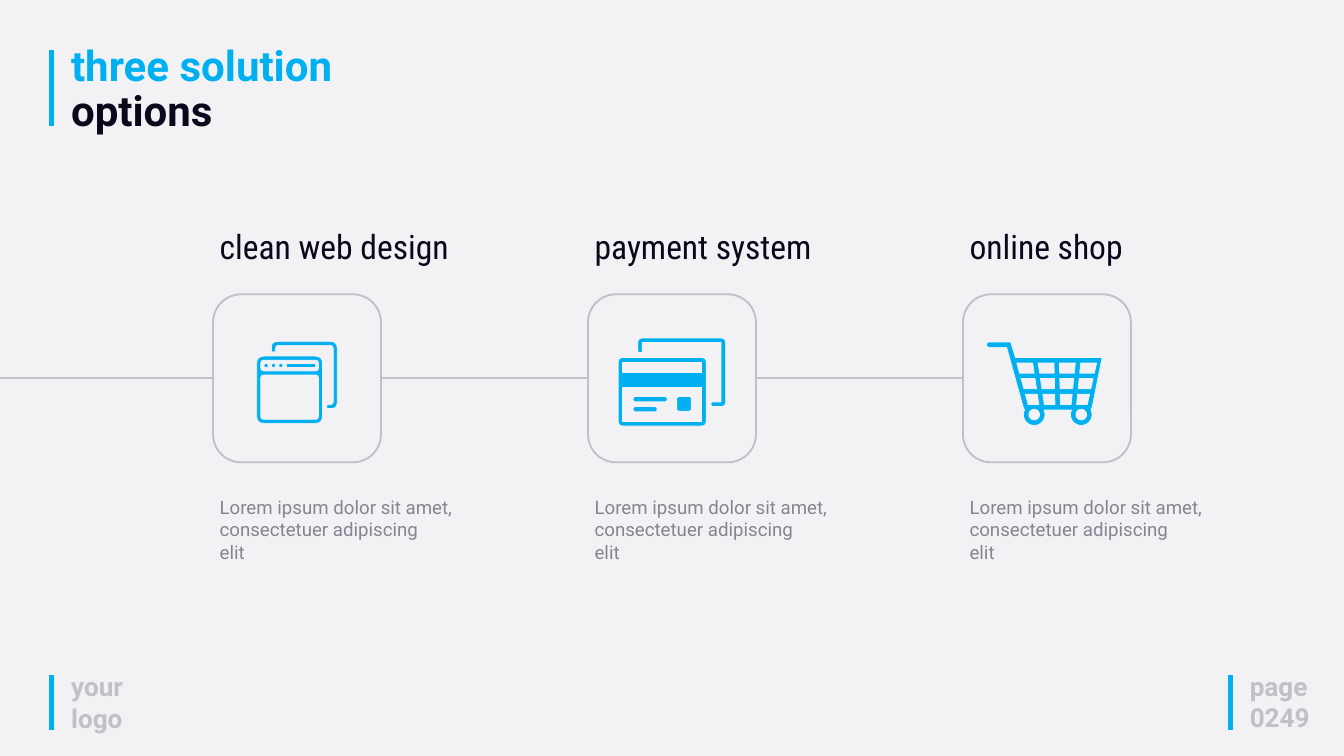
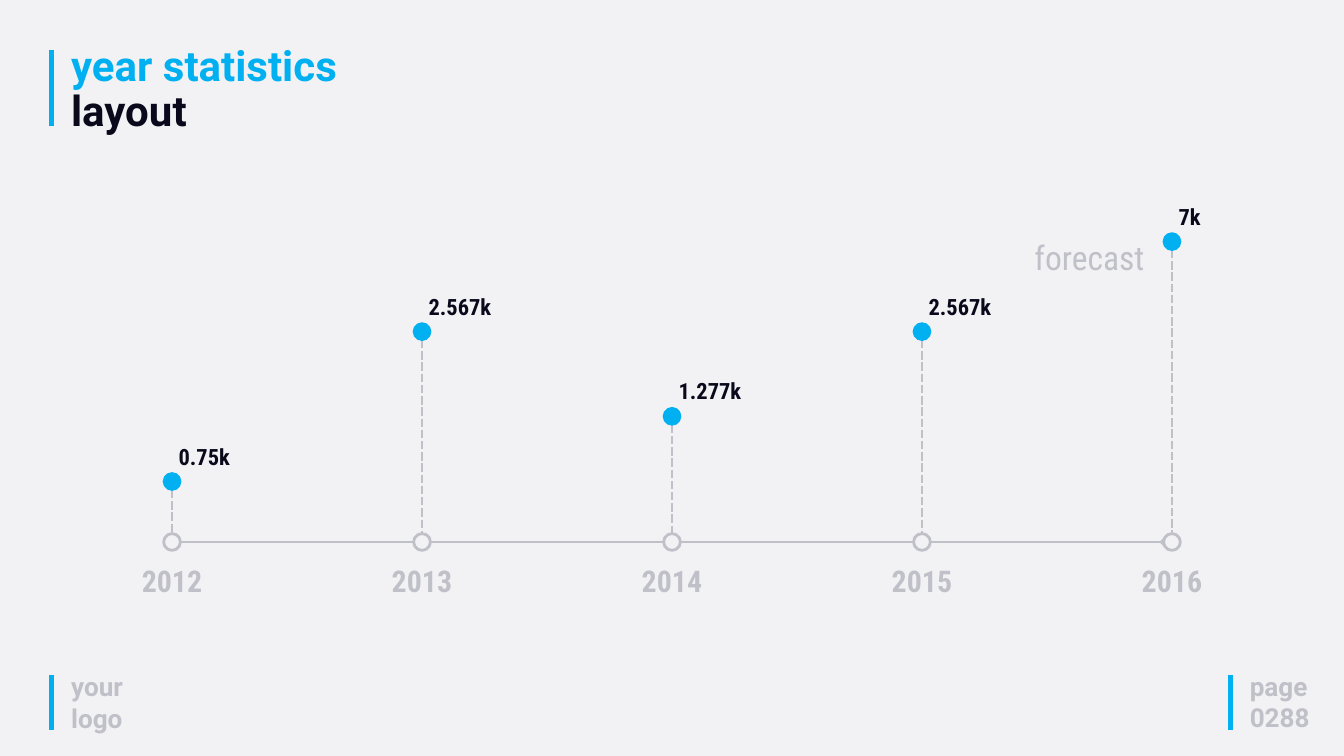
from math import cos, dist, radians, sin

from pptx import Presentation
from pptx.dml.color import RGBColor
from pptx.enum.dml import MSO_LINE as Dash
from pptx.enum.shapes import MSO_CONNECTOR as Link, MSO_SHAPE as Kind
from pptx.enum.text import MSO_AUTO_SIZE as Fit, PP_ALIGN as Align
from pptx.oxml.ns import qn
from pptx.util import Inches, Pt

WIDE, HIGH = 20, 11.25
BACK, BLUE, GREY, DARK, SOFT = "F2F2F5", "00B0F0", "C0C0C8", "0A091B", "858591"
SANS, SLIM = "Roboto", "Roboto Condensed"
BARS = [(0.77, 10.05, 10.86), (18.31, 10.05, 10.86), (0.77, 0.75, 1.88)]

BLURB = ["Lorem ipsum dolor sit amet, consectetuer adipiscing", "elit"]
CARD, CARD_X, CARD_Y, CARD_GAP = 2.5, 3.17, 4.38, 5.58

YEARS = [
    ("2012", "0.75k", 7.04),
    ("2013", "2.567k", 4.81),
    ("2014", "1.277k", 6.07),
    ("2015", "2.567k", 4.81),
    ("2016", "7k", 3.47),
]
YEAR_GAP, RING_Y, DOT = 3.72, 7.94, 0.25


def tint(code):
    return RGBColor.from_string(code)


def mix(a, b, t):
    return a + (b - a) * t


def split(start, stop, count, gap):
    size = (stop - start - gap * (count - 1)) / count
    starts = [start + i * (size + gap) for i in range(count)]
    return [(a, a + size) for a in starts]


def smooth(corners, steps=4):
    out = []
    for i, (x, y, r) in enumerate(corners):
        tip, ends = (x, y), []
        for near in (corners[i - 1], corners[(i + 1) % len(corners)]):
            size = dist(tip, near[:2])
            t = min(r, size / 2) / size
            ends.append([mix(a, b, t) for a, b in zip(tip, near)])
        for t in [step / steps for step in range(steps + 1)]:
            out.append([mix(mix(a, c, t), mix(c, b, t), t)
                        for a, c, b in zip(ends[0], tip, ends[1])])
    return out


def box(x, y, w, h, r=0):
    return smooth([(x, y, r), (x + w, y, r), (x + w, y + h, r), (x, y + h, r)])


def arc(x, y, r, start, stop, steps=24):
    turns = [radians(mix(start, stop, i / steps)) for i in range(steps + 1)]
    return [(x + r * cos(a), y + r * sin(a)) for a in turns]


def sheets(x, y, w, h, edge, r, shift, head, strip):
    inner, cap = r - edge, edge / 2
    span = w - 2 * edge
    left, top = x + edge, y + edge
    body = top + head + strip
    front = [
        box(x, y, w, h, r),
        box(left, top, span, head, inner),
        box(left, body, span, y + h - edge - body, inner),
    ]
    bx, by = x + shift, y - shift
    right, low = bx + w, by + h
    stub, foot = y - edge, x + w + edge
    behind = smooth([
        (bx, stub, cap), (bx, by, r), (right, by, r), (right, low, r),
        (foot, low, cap), (foot, low - edge, cap),
        (right - edge, low - edge, inner), (right - edge, by + edge, inner),
        (bx + edge, by + edge, inner), (bx + edge, stub, cap),
    ])
    return front + [behind]


def window():
    x, y, pin, step = 0.65, 0.92, 0.06, 0.11
    dots = [box(x + step * i, y + step, pin, pin, pin / 2) for i in (1, 2, 3)]
    field = box(x + 4 * step, y + step, 0.44, pin, pin / 2)
    return sheets(x, y, 0.98, 1, edge=0.06, r=0.11, shift=0.22,
                  head=0.16, strip=0.06) + dots + [field]


def bank():
    x, y, w, pad, pen, step = 0.45, 0.94, 1.31, 0.22, 0.08, 0.15
    top = y + 0.58
    chip = box(x + w - 2 * pad, top, pad, pad, pen / 2)
    lines = [box(x + pad, top + step * i, 0.51 - step * i, pen, pen / 2)
             for i in range(2)]
    return sheets(x, y, w, 1.02, edge=0.07, r=0.07, shift=0.29,
                  head=0.15, strip=0.22) + [chip] + lines


def cart():
    bar, top, low, hub = 0.08, 1.02, 1.64, 1.79
    wheels = (1.76, 1.06)
    rims = [spot for x in wheels for spot in arc(x, hub, 2 * bar, -26, 206)]
    grip = arc(0.39, 0.75, bar / 2, 90, 270, 8)
    basket = [(0.71, 0.71), (0.78, top - bar), (2.07, top - bar), (1.92, 1.69)]
    body = basket + rims + [(0.9, 1.69), (0.65, 0.79)] + grip
    holes = [arc(x, hub, bar, 0, 360) for x in wheels]
    cols = zip(split(0.8, 1.99, 4, bar), split(0.97, 1.85, 4, bar))
    rows = split(0, 1, 3, bar / (low - top))
    for (a, c), (b, d) in cols:
        for s, t in rows:
            corners = [(a, b, s), (c, d, s), (c, d, t), (a, b, t)]
            holes.append([(mix(p, q, u), mix(top, low, u))
                          for p, q, u in corners])
    return [body] + holes


OPTIONS = [
    ("clean web design", window, 0.75),
    ("payment system", bank, 1),
    ("online shop", cart, 0.75),
]


def paint(shape, fill, edge, width):
    shape.shadow.inherit = False
    shape.fill.solid()
    shape.fill.fore_color.rgb = tint(fill)
    shape.line.color.rgb = tint(edge)
    shape.line.width = Pt(width)
    return shape


def form(slide, kind, at, fill, edge, width):
    shape = slide.shapes.add_shape(kind, *map(Inches, at))
    return paint(shape, fill, edge, width)


def icon(slide, loops, x, y, width):
    paths = [[(Inches(x + a), Inches(y + b)) for a, b in loop]
             for loop in loops]
    pen = slide.shapes.build_freeform(*paths[0][0], scale=1.0)
    for path in paths:
        pen.move_to(*path[0])
        pen.add_line_segments(path[1:], close=True)
    paint(pen.convert_to_shape(), BLUE, BACK, width)


def line(slide, x, y, right, low, color=GREY, width=3, dash=None, ends=None):
    wire = slide.shapes.add_connector(
        Link.STRAIGHT, *map(Inches, (x, y, right, low)))
    wire.line.color.rgb = tint(color)
    wire.line.width = Pt(width)
    props = wire._element.spPr
    if dash:
        wire.line.dash_style = dash
    if ends:
        stroke = props.find(qn("a:ln"))
        for tag in ("a:headEnd", "a:tailEnd"):
            stroke.append(stroke.makeelement(qn(tag), {"type": ends}))
    props.append(props.makeelement(qn("a:effectLst"), {}))
    return wire


def text(slide, paras, at, size, color, font=SANS, bold=False,
         align=Align.LEFT, space=None):
    frame = slide.shapes.add_textbox(*map(Inches, at)).text_frame
    frame.word_wrap = True
    frame.auto_size = Fit.SHAPE_TO_FIT_TEXT
    for i, para in enumerate(paras):
        p = frame.add_paragraph() if i else frame.paragraphs[0]
        p.alignment = align
        if space:
            p.line_spacing = space
        rows = [(para, color)] if isinstance(para, str) else para
        for j, (words, shade) in enumerate(rows):
            if j:
                p.add_line_break()
            run = p.add_run()
            run.text = words
            run.font.name, run.font.size, run.font.bold = font, Pt(size), bold
            run.font.color.rgb = tint(shade)


def start(deck, head, tail, page):
    slide = deck.slides.add_slide(deck.slide_layouts[6])
    for x, top, low in BARS:
        line(slide, x, top, x, low, BLUE, 5)
    text(slide, ["your logo"], (0.96, 9.93, 1.19, 1.04), 28, GREY, bold=True)
    text(slide, ["page", page], (18.5, 9.92, 1.9, 1.04), 28, GREY, bold=True)
    text(slide, [[(head, BLUE), (tail, DARK)]], (0.96, 0.62, 5.96, 1.46),
         45, DARK, bold=True, space=0.9)
    return slide


def options(deck):
    slide = start(deck, "three solution", "options", "0249")
    mid, last = CARD_Y + CARD / 2, None
    for i, (name, draw, width) in enumerate(OPTIONS):
        x = CARD_X + i * CARD_GAP
        card = form(slide, Kind.ROUNDED_RECTANGLE, (x, CARD_Y, CARD, CARD),
                    BACK, GREY, 2)
        wire = line(slide, 0, mid, x, mid, width=2)
        if last:
            wire.begin_connect(last, 3)
        wire.end_connect(card, 1)
        last = card
        text(slide, [name], (x, 3.31, 4.33, 0.71), 36, DARK, SLIM)
        text(slide, BLURB, (x, 7.33, 4.33, 1.11), 20, SOFT)
        icon(slide, draw(), x, CARD_Y, width)


def stats(deck):
    slide = start(deck, "year statistics", "layout", "0288")
    half = DOT / 2
    axis = RING_Y + half
    span = YEAR_GAP * (len(YEARS) - 1)
    first = (WIDE - span) / 2
    line(slide, first, axis, first + span - half, axis, ends="diamond")
    for i, (year, value, top) in enumerate(YEARS):
        x = first + i * YEAR_GAP
        line(slide, x, top + DOT, x, RING_Y, dash=Dash.SQUARE_DOT)
        form(slide, Kind.OVAL, (x - half, RING_Y, DOT, DOT), BACK, GREY, 3)
        form(slide, Kind.OVAL, (x - half, top, DOT, DOT), BLUE, BLUE, 2)
        text(slide, [value], (x, top - 0.5, 1.42, 0.5), 24, DARK, SLIM, True)
        text(slide, [year], (x - 1.5, 8.32, 3, 0.64), 32, GREY, SLIM, True,
             Align.CENTER)
    text(slide, ["forecast"], (15.11, 3.47, 2.02, 0.71), 36, GREY, SLIM,
         align=Align.RIGHT)


def main():
    deck = Presentation()
    deck.slide_width, deck.slide_height = Inches(WIDE), Inches(HIGH)
    fill = deck.slide_master.background.fill
    fill.solid()
    fill.fore_color.rgb = tint(BACK)
    options(deck)
    stats(deck)
    deck.save("out.pptx")


if __name__ == "__main__":
    main()
